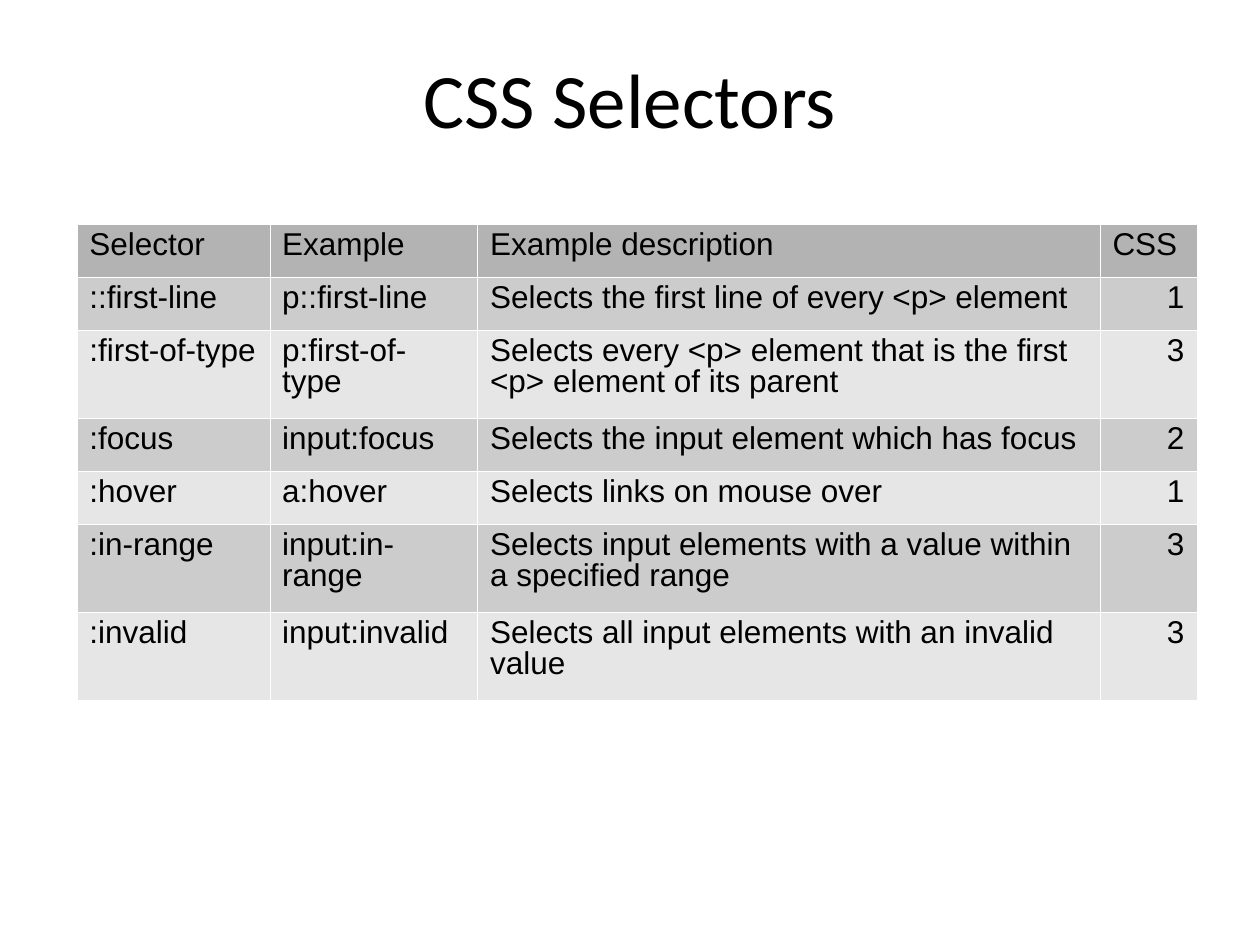
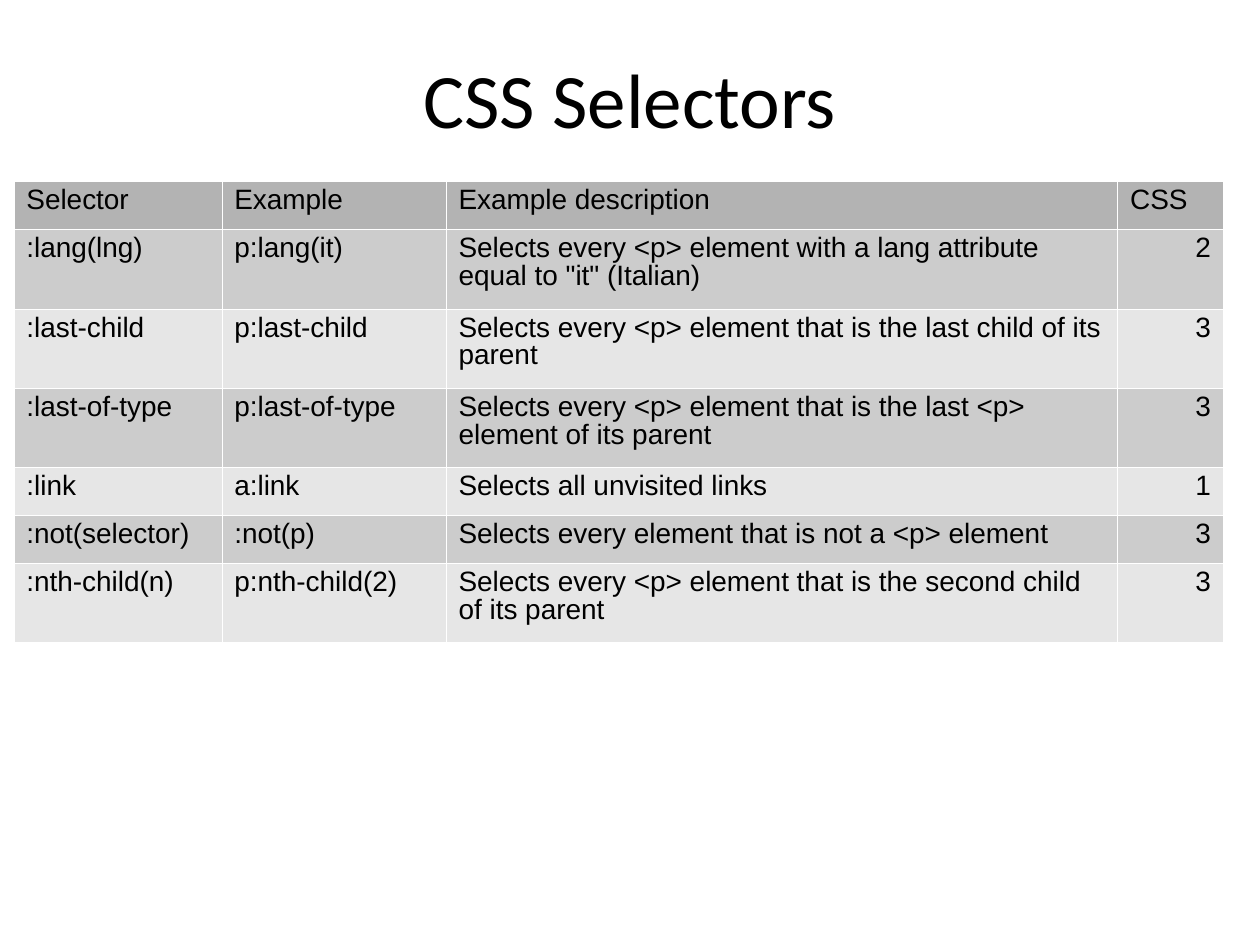
"""Build two slides of CSS selector reference tables."""
from dataclasses import dataclass

from lxml import etree
from pptx import Presentation
from pptx.dml.color import RGBColor
from pptx.enum.text import MSO_ANCHOR, MSO_AUTO_SIZE, PP_ALIGN
from pptx.oxml.ns import qn
from pptx.util import Inches, Pt

LEFT, CENTER, RIGHT = PP_ALIGN.LEFT, PP_ALIGN.CENTER, PP_ALIGN.RIGHT
MIDDLE = MSO_ANCHOR.MIDDLE
NO_AUTOFIT = MSO_AUTO_SIZE.NONE
TITLE_ONLY = 5

HEADER = ("Selector", "Example", "Example description", "CSS")
SLIDES = [
    {
        "title": "CSS Selectors",
        "origin": (0.61, 1.78),
        "columns": (1.53, 1.65, 4.94, 0.77),
        "size": 18,
        "line_heights": {1: 0.42, 2: 0.7},
        "line_counts": (1, 1, 2, 1, 1, 2, 2),
        "rows": [
            ("::first-line", "p::first-line", "Selects the first line of every <p> element", "1"),
            (":first-of-type", "p:first-of-type",
             "Selects every <p> element that is the first <p> element of its parent", "3"),
            (":focus", "input:focus", "Selects the input element which has focus", "2"),
            (":hover", "a:hover", "Selects links on mouse over", "1"),
            (":in-range", "input:in-range",
             "Selects input elements with a value within a specified range", "3"),
            (":invalid", "input:invalid", "Selects all input elements with an invalid value", "3"),
        ],
    },
    {
        "title": "CSS Selectors",
        "origin": (0.11, 1.44),
        "columns": (1.65, 1.78, 5.33, 0.84),
        "size": 16,
        "line_heights": {1: 0.38, 2: 0.63},
        "line_counts": (1, 2, 2, 2, 1, 1, 2),
        "rows": [
            (":lang(lng)", "p:lang(it)",
             'Selects every <p> element with a lang attribute equal to "it" (Italian)', "2"),
            (":last-child", "p:last-child",
             "Selects every <p> element that is the last child of its parent", "3"),
            (":last-of-type", "p:last-of-type",
             "Selects every <p> element that is the last <p> element of its parent", "3"),
            (":link", "a:link", "Selects all unvisited links", "1"),
            (":not(selector)", ":not(p)", "Selects every element that is not a <p> element", "3"),
            (":nth-child(n)", "p:nth-child(2)",
             "Selects every <p> element that is the second child of its parent", "3"),
        ],
    },
]


@dataclass(frozen=True)
class Theme:
    ink: str = "000000"
    border: str = "FFFFFF"
    header: str = "B3B3B3"
    bands: tuple = ("CCCCCC", "E6E6E6")
    title_font: str = "Calibri"
    table_font: str = "Arial"
    title_size: int = 44
    line_spacing: float = 0.89
    border_width: float = 0.06


THEME = Theme()


def write(frame, text, font, size, align):
    para = frame.paragraphs[0]
    para.alignment = align
    span = para.add_run()
    span.text = text
    span.font.name = font
    span.font.size = Pt(size)
    span.font.bold = False
    span.font.color.rgb = RGBColor.from_string(THEME.ink)
    return para


def add_title(page, text):
    box = page.shapes.title
    box.left, box.top, box.width, box.height = map(Inches, (0.5, 0.15, 9, 1.25))
    frame = box.text_frame
    frame.margin_left = frame.margin_right = frame.margin_top = frame.margin_bottom = 0
    frame.vertical_anchor = MIDDLE
    frame.auto_size = NO_AUTOFIT
    frame.word_wrap = True
    write(frame, text, THEME.title_font, THEME.title_size, CENTER)


def add_borders(cell):
    properties = cell._tc.get_or_add_tcPr()
    for side in ("lnL", "lnR", "lnT", "lnB"):
        line = etree.SubElement(properties, qn(f"a:{side}"), w=str(Pt(THEME.border_width)))
        fill = etree.SubElement(line, qn("a:solidFill"))
        etree.SubElement(fill, qn("a:srgbClr"), val=THEME.border)


def fill_cell(cell, text, size, color, align):
    cell.margin_left = cell.margin_right = Inches(0.1)
    cell.margin_top = cell.margin_bottom = Inches(0.05)
    para = write(cell.text_frame, text, THEME.table_font, size, align)
    para.line_spacing = THEME.line_spacing
    add_borders(cell)
    cell.fill.solid()
    cell.fill.fore_color.rgb = RGBColor.from_string(color)


def add_selector_table(page, content):
    rows = [HEADER, *content["rows"]]
    widths = content["columns"]
    heights = [content["line_heights"][count] for count in content["line_counts"]]
    left, top = content["origin"]
    bounds = map(Inches, (left, top, sum(widths), sum(heights)))
    table = page.shapes.add_table(len(rows), len(widths), *bounds).table
    table.horz_banding = False
    for column, width in zip(table.columns, widths):
        column.width = Inches(width)
    for index, (row, height, texts) in enumerate(zip(table.rows, heights, rows)):
        row.height = Inches(height)
        color = THEME.bands[(index - 1) % 2] if index else THEME.header
        for cell, text in zip(row.cells, texts):
            fill_cell(cell, text, content["size"], color, RIGHT if text.isdigit() else LEFT)


def main():
    deck = Presentation()
    deck.slide_width, deck.slide_height = Inches(10), Inches(7.5)
    for content in SLIDES:
        page = deck.slides.add_slide(deck.slide_layouts[TITLE_ONLY])
        add_title(page, content["title"])
        add_selector_table(page, content)
    deck.save("out.pptx")


if __name__ == "__main__":
    main()
